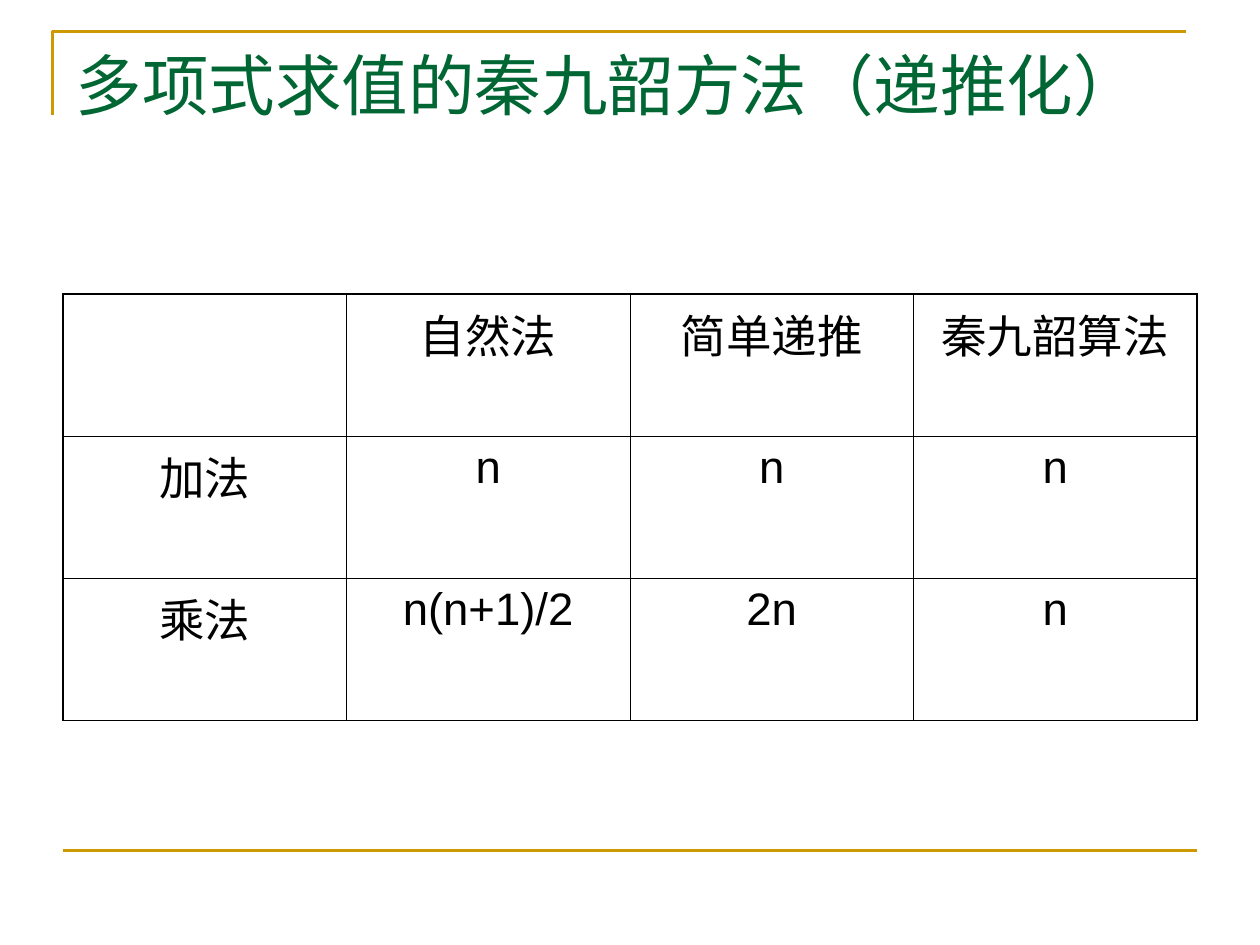
"""Build a slide comparing operation counts of polynomial evaluation methods."""
import lxml.etree
import pptx
import pptx.dml.color
import pptx.enum.shapes
import pptx.enum.text
import pptx.oxml.ns
import pptx.util

Pt = pptx.util.Pt


def color(hex_string):
    return pptx.dml.color.RGBColor.from_string(hex_string)


def add_element(parent, tag, **attributes):
    return lxml.etree.SubElement(parent, pptx.oxml.ns.qn(tag), attributes)


class SlideBuilder:
    accent = "CC9900"
    title_color = "006633"
    ink = "000000"
    outer_width = 1.08
    inner_width = 0.45

    def __init__(self, presentation):
        self.slide = presentation.slides.add_slide(presentation.slide_layouts[5])

    def style_font(self, paragraph, name, size, hex_string):
        font = paragraph.font
        font.name = name
        font.size = Pt(size)
        font.color.rgb = color(hex_string)

    def style_line(self, shape):
        shape.line.color.rgb = color(self.accent)
        shape.line.width = Pt(1.5)

    def title(self, text, left, top, width, height):
        shape = self.slide.shapes.title
        shape.left, shape.top = Pt(left), Pt(top)
        shape.width, shape.height = Pt(width), Pt(height)
        frame = shape.text_frame
        frame.text = text
        frame.word_wrap = True
        frame.auto_size = pptx.enum.text.MSO_AUTO_SIZE.NONE
        frame.vertical_anchor = pptx.enum.text.MSO_ANCHOR.TOP
        paragraph = frame.paragraphs[0]
        paragraph.alignment = pptx.enum.text.PP_ALIGN.LEFT
        self.style_font(paragraph, "Times New Roman", 38, self.title_color)

    def corner(self, left, top, right, bottom):
        builder = self.slide.shapes.build_freeform(left, bottom, scale=Pt(1))
        builder.add_line_segments([(left, top), (right, top)], close=False)
        shape = builder.convert_to_shape()
        shape.fill.background()
        shape.shadow.inherit = False
        self.style_line(shape)

    def rule(self, left, right, y):
        connector = self.slide.shapes.add_connector(
            pptx.enum.shapes.MSO_CONNECTOR.STRAIGHT, Pt(left), Pt(y), Pt(right), Pt(y))
        self.style_line(connector)
        add_element(connector.element.spPr, "a:effectLst")

    def borders(self, cell, outer_sides):
        properties = cell._tc.get_or_add_tcPr()
        for side in "LRTB":
            width = self.outer_width if side in outer_sides else self.inner_width
            line = add_element(properties, f"a:ln{side}", w=str(Pt(width)))
            add_element(add_element(line, "a:solidFill"), "a:srgbClr", val=self.ink)

    def table(self, rows, left, top, width, height):
        last_row, last_column = len(rows) - 1, len(rows[0]) - 1
        table = self.slide.shapes.add_table(
            len(rows), len(rows[0]), Pt(left), Pt(top), Pt(width), Pt(height)).table
        table.first_row = table.horz_banding = False
        for row, texts in enumerate(rows):
            for column, text in enumerate(texts):
                cell = table.cell(row, column)
                cell.text = text
                paragraph = cell.text_frame.paragraphs[0]
                paragraph.alignment = pptx.enum.text.PP_ALIGN.CENTER
                self.style_font(paragraph, "Arial", 26, self.ink)
                edges = {"L": column == 0, "R": column == last_column,
                         "T": row == 0, "B": row == last_row}
                self.borders(cell, [side for side in edges if edges[side]])
                cell.fill.background()


def main():
    presentation = pptx.Presentation()
    presentation.slide_width, presentation.slide_height = Pt(720), Pt(540)
    builder = SlideBuilder(presentation)
    builder.corner(30, 18, 678, 66)
    builder.rule(36, 684, 486)
    builder.title("多项式求值的秦九韶方法（递推化）", 36, 21.6, 648, 90)
    builder.table([
        ["", "自然法", "简单递推", "秦九韶算法"],
        ["加法", "n", "n", "n"],
        ["乘法", "n(n+1)/2", "2n", "n"],
    ], 36, 168, 648, 243.75)
    presentation.save("out.pptx")


if __name__ == "__main__":
    main()
